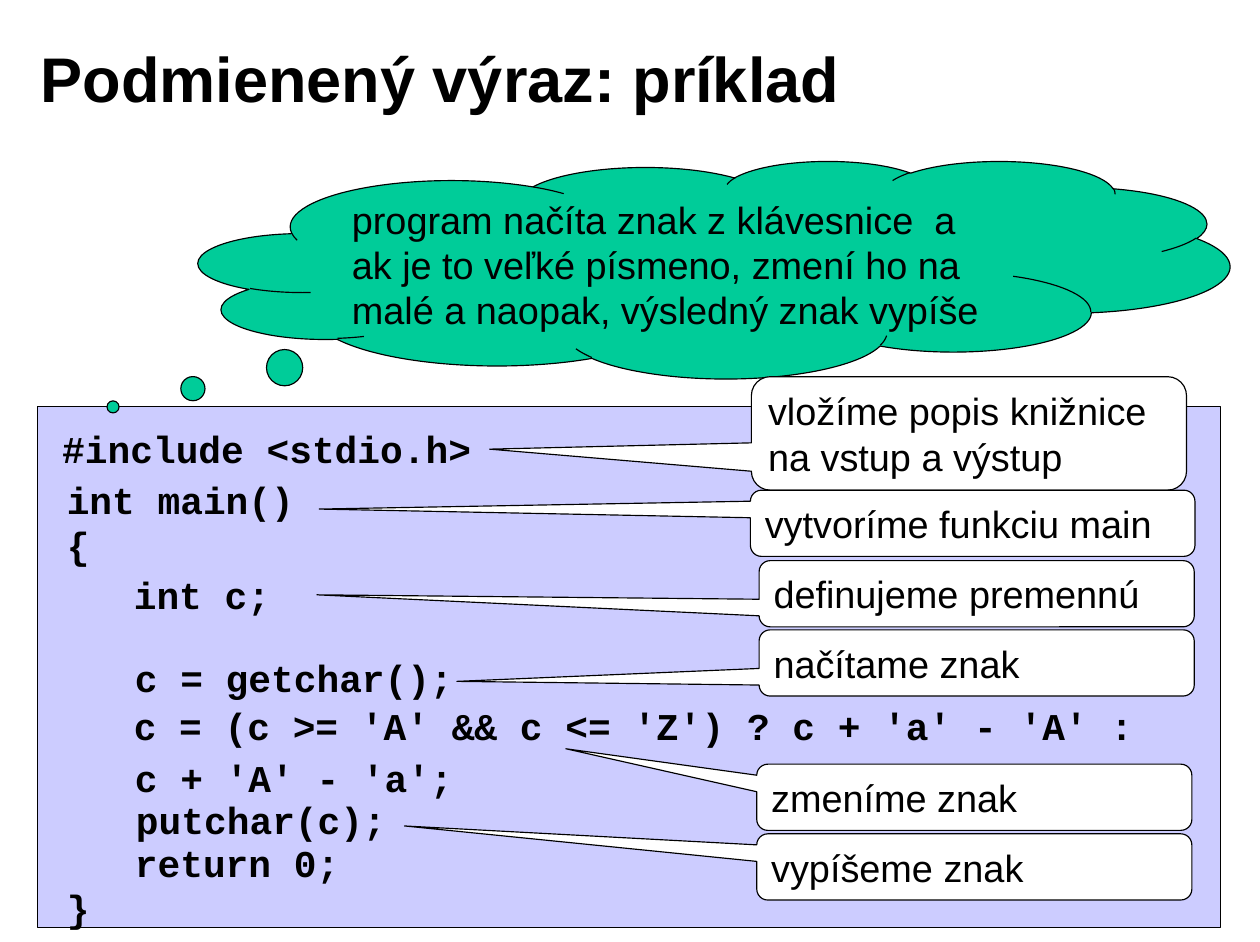
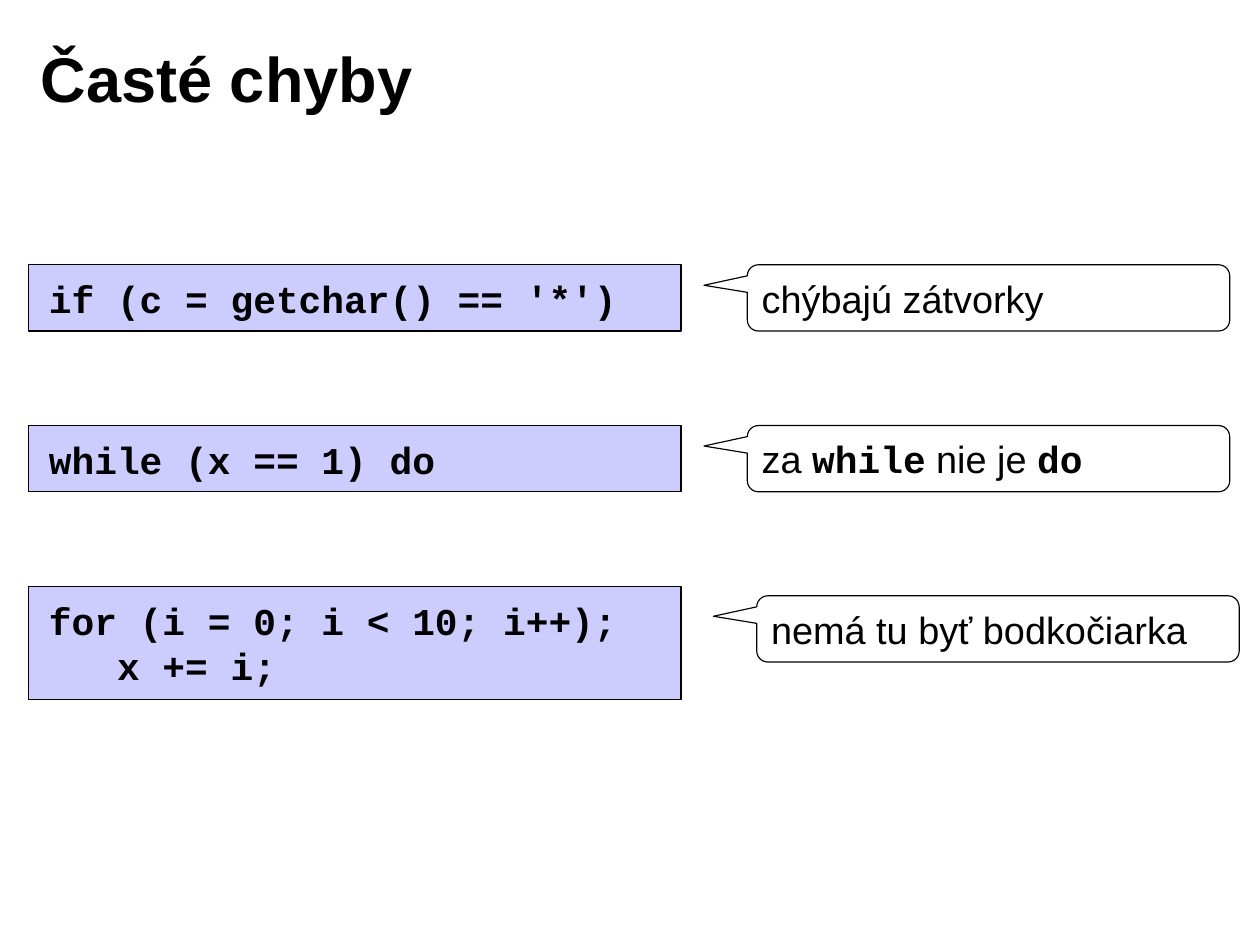
from pptx import Presentation
from pptx.dml.color import RGBColor
from pptx.enum.shapes import MSO_SHAPE
from pptx.enum.text import MSO_ANCHOR, PP_ALIGN
from pptx.util import Pt

SLIDE_WIDTH, SLIDE_HEIGHT = 799.2, 597.6
BLACK = RGBColor(0x00, 0x00, 0x00)
WHITE = RGBColor(0xFF, 0xFF, 0xFF)
LILAC = RGBColor(0xCC, 0xCC, 0xFF)
GREEN = RGBColor(0x00, 0xCC, 0x99)
SANS, MONO = "Arial", "Courier New"
TITLE_SIZE, BODY_SIZE = 40, 24

# Slide 1: boxes are (left, top, width, height), tips are (x, y)
EXAMPLE_TITLE = "Podmienený výraz: príklad"
PANEL = (24, 258, 750, 330.5)
TASK = ("program načíta znak z klávesnice  a ak je to veľké písmeno, "
        "zmení ho na malé a naopak, výsledný znak vypíše")
TASK_BOX, TASK_TIP = (126, 102, 654, 138), (71.7, 258.2)
CODE_LINES = [  # left, top, code
    (32.4, 266.4, "#include <stdio.h>"),
    (35.3, 298.8, "int main()"),
    (35.3, 327.6, "{"),
    (77.8, 359.3, "int c;"),
    (78.5, 411.8, "c = getchar();"),
    (77.8, 442.1, "c = (c >= 'A' && c <= 'Z') ? c + 'a' - 'A' :"),
    (78.5, 475.2, "c + 'A' - 'a';"),
    (79.2, 501.8, "putchar(c);"),
    (78.5, 529.2, "return 0;"),
    (35.3, 558, "}"),
]
NOTES = [  # box, tip, text
    ((476.6, 239, 276, 72), (310.6, 285), "vložíme popis knižnice na vstup a výstup"),
    ((476, 311, 282, 42), (202.5, 323), "vytvoríme funkciu main"),
    ((481.5, 355.7, 276, 42), (201, 377.4), "definujeme premennú"),
    ((481.5, 399.6, 276, 42), (289.8, 432.3), "načítame znak"),
    ((480, 484.8, 276, 42), (358.9, 475), "zmeníme znak"),
    ((480, 529, 276, 42), (256.6, 524), "vypíšeme znak"),
]

# Slide 2: each mistake has code lines, note runs and a note shift
MISTAKES_TITLE = "Časté chyby"
MISTAKES = [
    (["if (c = getchar() == '*')"], [("chýbajú zátvorky", SANS)], 0),
    (["while (x == 1) do"],
     [("za ", SANS), ("while", MONO), (" nie je ", SANS), ("do", MONO)], 0),
    (["for (i = 0; i < 10; i++);", "   x += i;"],
     [("nemá tu byť bodkočiarka", SANS)], 6),
]
MISTAKES_TOP, MISTAKES_STEP = 168, 102
NOTE_HEIGHT, CODE_LINE = 42, 30


def add_run(p, text, font=SANS, size=BODY_SIZE, bold=False):
    r = p.add_run()
    r.text = text
    r.font.name, r.font.size, r.font.bold = font, Pt(size), bold
    r.font.color.rgb = BLACK


def set_frame(tf, anchor, left=7.2, top=3.6, wrap=True):
    tf.word_wrap = wrap
    tf.vertical_anchor = anchor
    tf.margin_left, tf.margin_right = Pt(left), Pt(7.2)
    tf.margin_top, tf.margin_bottom = Pt(top), Pt(3.6)
    tf.paragraphs[0].alignment = PP_ALIGN.LEFT


def add_box(s, kind, box, fill):
    sp = s.shapes.add_shape(kind, *map(Pt, box))
    sp.shadow.inherit = False
    sp.fill.solid()
    sp.fill.fore_color.rgb = fill
    sp.line.color.rgb = BLACK
    sp.line.width = Pt(0.75)
    return sp


def add_callout(s, kind, box, tip, fill, runs):
    """Callout whose tail ends at the point tip."""
    sp = add_box(s, kind, box, fill)
    left, top, width, height = box
    sp.adjustments[0] = (tip[0] - left) / width - 0.5
    sp.adjustments[1] = (tip[1] - top) / height - 0.5
    set_frame(sp.text_frame, MSO_ANCHOR.MIDDLE)
    for text, font in runs:
        add_run(sp.text_frame.paragraphs[0], text, font, bold=font == MONO)


def add_slide(prs, title):
    s = prs.slides.add_slide(prs.slide_layouts[6])
    tf = s.shapes.add_textbox(Pt(18), Pt(12), Pt(642), Pt(74)).text_frame
    set_frame(tf, MSO_ANCHOR.MIDDLE, left=8)
    add_run(tf.paragraphs[0], title, size=TITLE_SIZE, bold=True)
    return s


def build_example(prs):
    s = add_slide(prs, EXAMPLE_TITLE)
    add_box(s, MSO_SHAPE.RECTANGLE, PANEL, LILAC)
    add_callout(s, MSO_SHAPE.CLOUD_CALLOUT, TASK_BOX, TASK_TIP, GREEN, [(TASK, SANS)])
    # Program
    for left, top, code in CODE_LINES:
        width = len(code) * BODY_SIZE * 0.6 + 14.4
        tf = s.shapes.add_textbox(Pt(left), Pt(top), Pt(width), Pt(36)).text_frame
        set_frame(tf, MSO_ANCHOR.TOP, wrap=False)
        add_run(tf.paragraphs[0], code, MONO, bold=True)
    # Explanations
    for box, tip, text in NOTES:
        add_callout(s, MSO_SHAPE.ROUNDED_RECTANGULAR_CALLOUT, box, tip, WHITE,
                    [(text, SANS)])


def build_mistakes(prs):
    s = add_slide(prs, MISTAKES_TITLE)
    for i, (lines, runs, shift) in enumerate(MISTAKES):
        top = MISTAKES_TOP + i * MISTAKES_STEP
        # Wrong code
        height = NOTE_HEIGHT + (len(lines) - 1) * CODE_LINE
        sp = add_box(s, MSO_SHAPE.RECTANGLE, (18, top, 414, height), LILAC)
        tf = sp.text_frame
        set_frame(tf, MSO_ANCHOR.TOP, left=13, top=7)
        for j, line in enumerate(lines):
            p = tf.add_paragraph() if j else tf.paragraphs[0]
            p.alignment = PP_ALIGN.LEFT
            add_run(p, line, MONO, bold=True)
        # What is wrong
        left, top = 474 + shift, top + shift
        add_callout(s, MSO_SHAPE.ROUNDED_RECTANGULAR_CALLOUT,
                    (left, top, 306, NOTE_HEIGHT), (left - 27.5, top + 13), WHITE, runs)


def main():
    prs = Presentation()
    prs.slide_width, prs.slide_height = Pt(SLIDE_WIDTH), Pt(SLIDE_HEIGHT)
    build_example(prs)
    build_mistakes(prs)
    prs.save("out.pptx")


if __name__ == "__main__":
    main()
